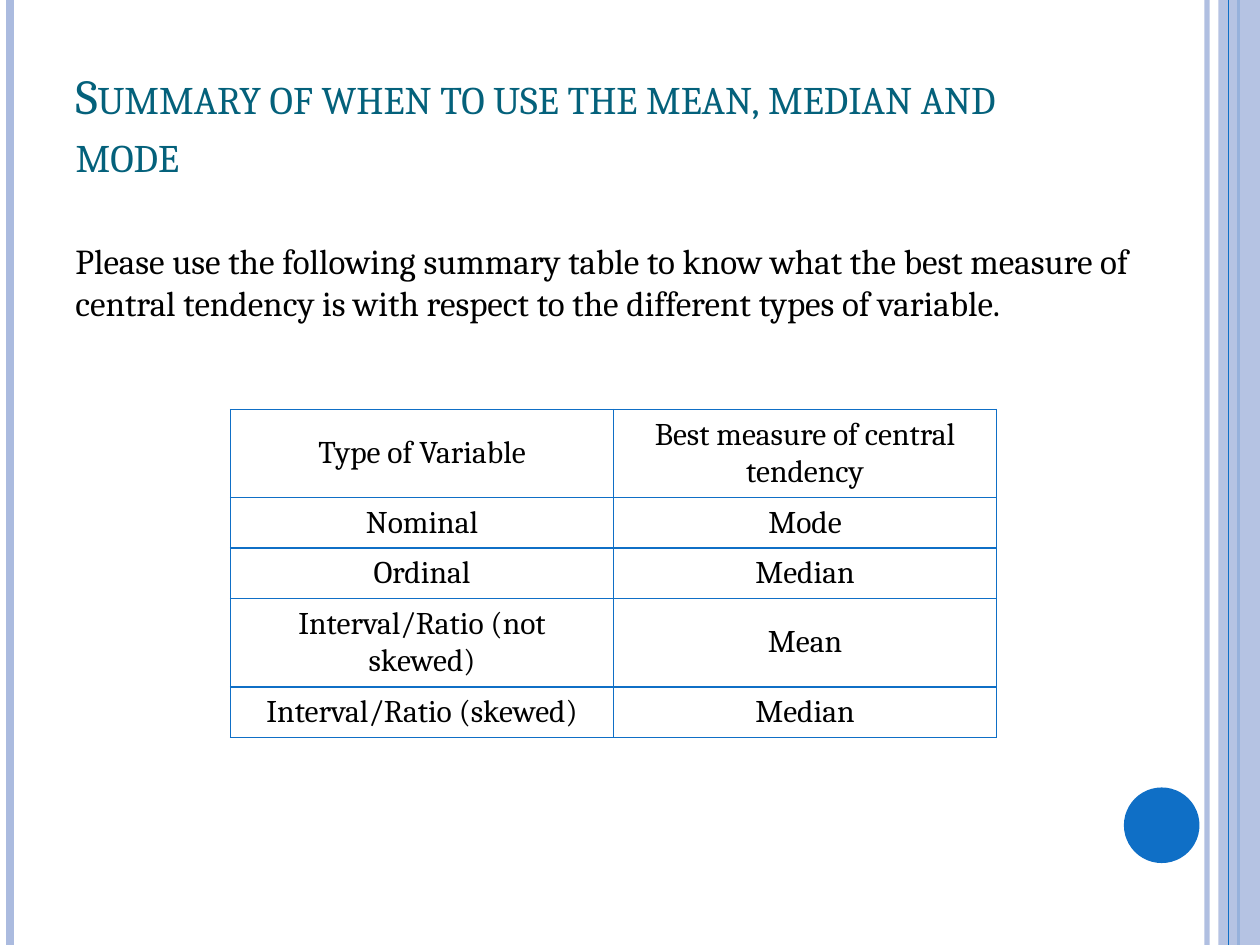
import dataclasses
import typing

import pptx
import pptx.dml.color
import pptx.enum.shapes
import pptx.enum.text
import pptx.oxml
import pptx.oxml.ns
import pptx.util

Align = pptx.enum.text.PP_ALIGN
Anchor = pptx.enum.text.MSO_ANCHOR
Preset = pptx.enum.shapes.MSO_SHAPE


@dataclasses.dataclass(frozen=True)
class Theme:
    font: str = "Cambria"
    ink: str = "000000"
    heading: str = "04617B"
    accent: str = "0F6FC6"
    pale: str = "ABBBDF"
    title_size: float = 27.9
    body_size: float = 20
    table_size: float = 18
    border: float = 1


@dataclasses.dataclass(frozen=True)
class Stripe:
    x: float
    color: str
    weight: float
    opacity: int = 100


class Box(typing.NamedTuple):
    left: float
    top: float
    width: float
    height: float

    def emu(self) -> list[int]:
        return [pptx.util.Inches(length) for length in self]


THEME = Theme()
WIDTH, HEIGHT = 10, 7.5
MARGIN = WIDTH * 0.05

BACK_STRIPES = [
    Stripe(9.58, THEME.pale, 3, 93),
    Stripe(0.08, THEME.pale, 4.5),
    Stripe(9.83, THEME.accent, 1.5),
]
FRONT_STRIPE = Stripe(9.75, THEME.accent, 0.75)
SIDE_BAND = Box(9.67, 0, 0.33, HEIGHT)
DISC = Box(8.92, 6.25, 0.6, 0.6)
TITLE = Box(MARGIN, 0.25, 8.33, 1.25)
INTRO = Box(MARGIN, 1.85, WIDTH - 2 * MARGIN, 0.8)
SINGLE_ROW, DOUBLE_ROW = 0.39, 0.68
ROW_HEIGHTS = [DOUBLE_ROW, SINGLE_ROW, SINGLE_ROW, DOUBLE_ROW, SINGLE_ROW]
SUMMARY = Box(1.83, 3.25, 6.08, sum(ROW_HEIGHTS))

MEASURES = [
    ("Type of Variable", "Best measure of central tendency"),
    ("Nominal", "Mode"),
    ("Ordinal", "Median"),
    ("Interval/Ratio (not skewed)", "Mean"),
    ("Interval/Ratio (skewed)", "Median"),
]


def rgb(color: str) -> pptx.dml.color.RGBColor:
    return pptx.dml.color.RGBColor.from_string(color)


def set_opacity(element, percent: int) -> None:
    for color in element.iter(pptx.oxml.ns.qn("a:srgbClr")):
        alpha = pptx.oxml.parse_xml(
            f'<a:alpha {pptx.oxml.ns.nsdecls("a")} val="{percent * 1000}"/>'
        )
        color.append(alpha)


def style_paragraph(paragraph, size: float, color: str, align=Align.LEFT) -> None:
    paragraph.alignment = align
    paragraph.font.name = THEME.font
    paragraph.font.size = pptx.util.Pt(size)
    paragraph.font.color.rgb = rgb(color)


def draw_stripe(slide, stripe: Stripe) -> None:
    x = pptx.util.Inches(stripe.x)
    line = slide.shapes.add_connector(
        pptx.enum.shapes.MSO_CONNECTOR.STRAIGHT, x, 0, x, pptx.util.Inches(HEIGHT)
    )
    line.line.color.rgb = rgb(stripe.color)
    line.line.width = pptx.util.Pt(stripe.weight)
    properties = line._element.spPr
    if stripe.opacity < 100:
        set_opacity(properties, stripe.opacity)
    properties.append(
        pptx.oxml.parse_xml(f'<a:effectLst {pptx.oxml.ns.nsdecls("a")}/>')
    )


def draw_solid(slide, preset, box: Box, color: str, opacity: int = 100) -> None:
    solid = slide.shapes.add_shape(preset, *box.emu())
    solid.shadow.inherit = False
    solid.fill.solid()
    solid.fill.fore_color.rgb = rgb(color)
    solid.line.fill.background()
    if opacity < 100:
        set_opacity(solid._element.spPr, opacity)


def write_title(slide, text: str) -> None:
    title = slide.shapes.title
    title.left, title.top, title.width, title.height = TITLE.emu()
    title.text_frame.vertical_anchor = Anchor.BOTTOM
    paragraph = title.text_frame.paragraphs[0]
    style_paragraph(paragraph, THEME.title_size, THEME.heading)
    run = paragraph.add_run()
    run.text = text
    run._r.get_or_add_rPr().set("cap", "small")


def write_intro(slide, text: str) -> None:
    frame = slide.shapes.add_textbox(*INTRO.emu()).text_frame
    frame.word_wrap = True
    frame.text = text
    style_paragraph(frame.paragraphs[0], THEME.body_size, THEME.ink)


def border_cell(cell) -> None:
    properties = cell._tc.get_or_add_tcPr()
    for index, side in enumerate(("lnL", "lnR", "lnT", "lnB")):
        border = pptx.oxml.parse_xml(
            f'<a:{side} {pptx.oxml.ns.nsdecls("a")} w="{pptx.util.Pt(THEME.border)}">'
            f'<a:solidFill><a:srgbClr val="{THEME.accent}"/></a:solidFill></a:{side}>'
        )
        properties.insert(index, border)


def draw_summary(slide, rows: list[tuple[str, str]]) -> None:
    table = slide.shapes.add_table(len(rows), len(rows[0]), *SUMMARY.emu()).table
    table.first_row = False
    table.horz_banding = False
    for row, height in zip(table.rows, ROW_HEIGHTS):
        row.height = pptx.util.Inches(height)
    for row, texts in zip(table.rows, rows):
        for cell, text in zip(row.cells, texts):
            cell.text = text
            cell.vertical_anchor = Anchor.MIDDLE
            cell.fill.background()
            border_cell(cell)
            style_paragraph(
                cell.text_frame.paragraphs[0], THEME.table_size, THEME.ink, Align.CENTER
            )


def main() -> None:
    deck = pptx.Presentation()
    deck.slide_width = pptx.util.Inches(WIDTH)
    deck.slide_height = pptx.util.Inches(HEIGHT)
    slide = deck.slides.add_slide(deck.slide_layouts.get_by_name("Title Only"))

    for stripe in BACK_STRIPES:
        draw_stripe(slide, stripe)
    draw_solid(slide, Preset.RECTANGLE, SIDE_BAND, THEME.pale, 87)
    draw_stripe(slide, FRONT_STRIPE)
    draw_solid(slide, Preset.OVAL, DISC, THEME.accent)

    write_title(slide, "Summary of when to use the mean, median and mode")
    write_intro(
        slide,
        "Please use the following summary table to know what the best measure of "
        "central tendency is with respect to the different\u00a0types of variable.".replace("\u00a0", " "),
    )
    draw_summary(slide, MEASURES)
    deck.save("out.pptx")


if __name__ == "__main__":
    main()
